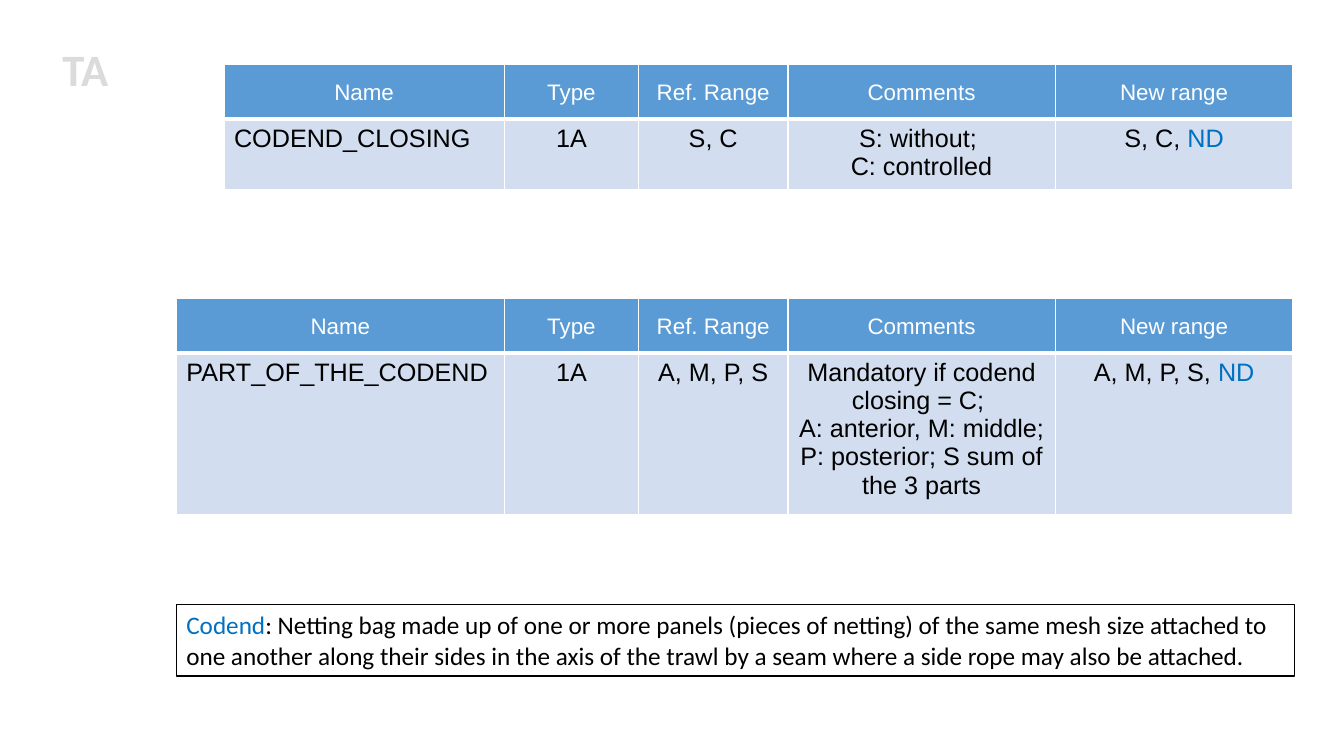
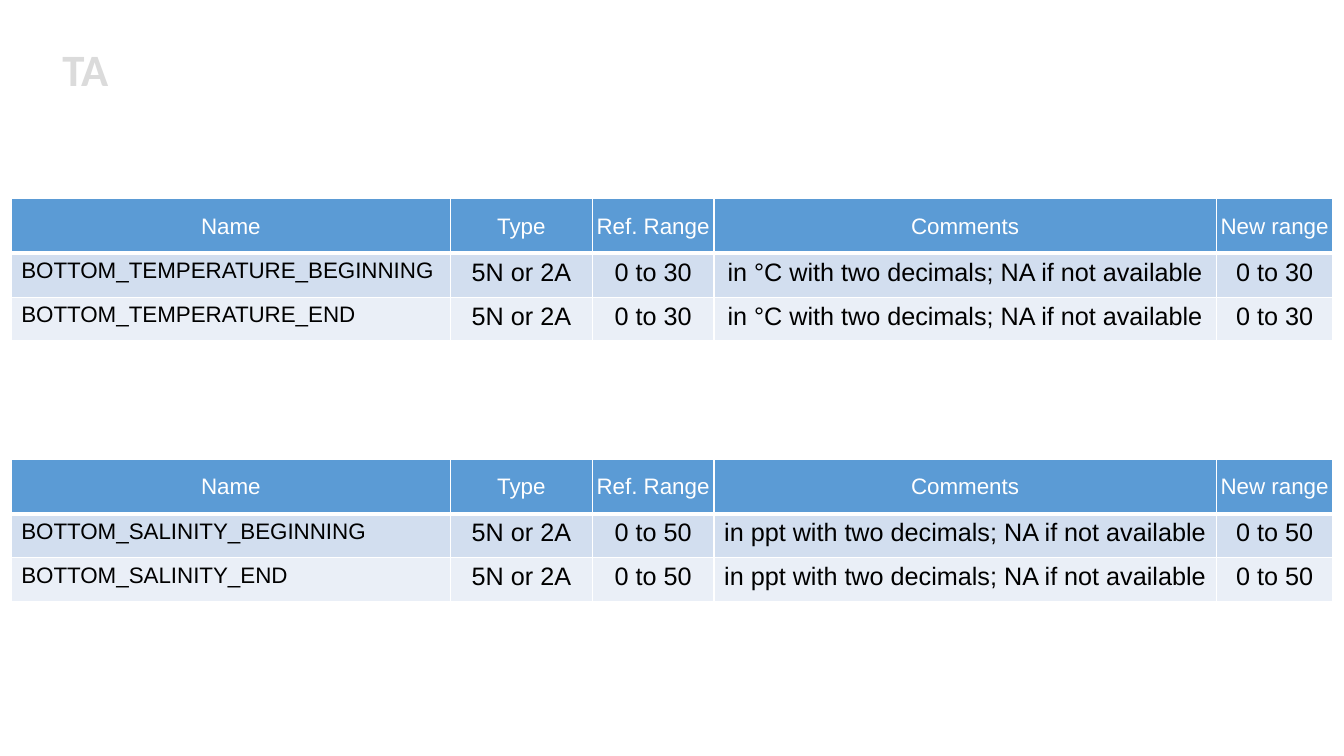
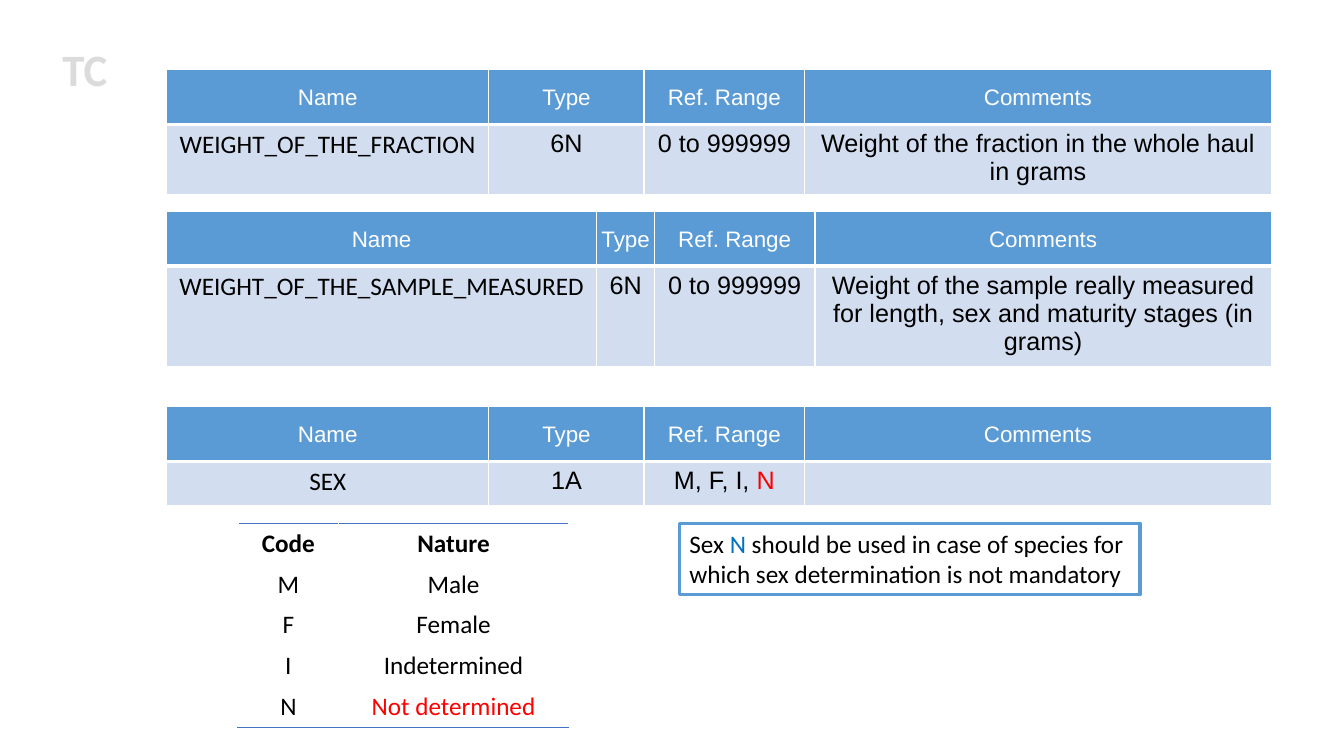
from lxml.etree import SubElement
from pptx import Presentation
from pptx.dml.color import RGBColor
from pptx.enum.shapes import MSO_SHAPE
from pptx.enum.text import MSO_ANCHOR, MSO_AUTO_SIZE, PP_ALIGN
from pptx.oxml.ns import qn
from pptx.util import Pt

COLORS = {"white": "FFFFFF", "black": "000000", "title": "DBDBDB", "header": "5B9BD5",
          "band1": "D2DEEF", "band2": "EAEFF7", "blue": "0070C0", "red": "FF0000", "rule": "4472C4"}
HEADINGS = ["Name", "Type", "Ref. Range", "Comments", "New range"]
ARIAL = {"name": "Arial", "size": Pt(18), "bold": False}
CALIBRI = {"name": "Calibri", "size": Pt(18), "bold": False}
HEADER = {**ARIAL, "size": Pt(16)}
TITLE = {"name": "Calibri", "size": Pt(32), "bold": True}
HEADER_MARGINS = {"margin_left": Pt(0.72), "margin_right": Pt(0.72), "margin_top": Pt(0.72),
                  "margin_bottom": 0, "vertical_anchor": MSO_ANCHOR.MIDDLE}
HEADER_EDGES = {"L": 1, "R": 1, "T": 1, "B": 3}
BODY_EDGES = {"L": 1, "R": 1, "T": 1, "B": 1}
HEADER_HEIGHT = 39


def apply(target, values):
    for name, value in values.items():
        setattr(target, name, value)


class Deck:
    """Holds the shared style and the slide being filled."""

    def __init__(self):
        self.prs = Presentation()
        apply(self.prs, {"slide_width": Pt(960), "slide_height": Pt(540)})

    def color(self, name):
        return RGBColor.from_string(COLORS[name])

    def slide(self, title):
        self.s = self.prs.slides.add_slide(self.prs.slide_layouts[6])
        box = self.s.shapes.add_textbox(Pt(37.5), Pt(26.5), Pt(63.5), Pt(46))
        self.frame(box.text_frame)
        self.put_text(box.text_frame, title, TITLE, "title")

    def frame(self, tf):
        apply(tf, {"word_wrap": True, "auto_size": MSO_AUTO_SIZE.SHAPE_TO_FIT_TEXT,
                   "vertical_anchor": MSO_ANCHOR.TOP})

    def put_text(self, tf, content, font, color="black", align=PP_ALIGN.LEFT):
        runs = [(content, color)] if isinstance(content, str) else content
        p = tf.paragraphs[0]
        p.alignment = align
        for text, run_color in runs:
            for i, line in enumerate(text.split("\n")):
                if i:
                    p = tf.add_paragraph()
                    p.alignment = align
                if line:
                    r = p.add_run()
                    r.text = line
                    apply(r.font, font)
                    r.font.color.rgb = self.color(run_color)

    def edges(self, cell, widths, color):
        tcPr = cell._tc.get_or_add_tcPr()
        for side, width in widths.items():
            ln = SubElement(tcPr, qn(f"a:ln{side}"), w=str(Pt(width)))
            fill = SubElement(ln, qn("a:solidFill"))
            SubElement(fill, qn("a:srgbClr"), val=COLORS[color])

    def grid(self, left, top, widths, heights):
        tbl = self.s.shapes.add_table(len(heights), len(widths), Pt(left), Pt(top),
                                      Pt(sum(widths)), Pt(sum(heights))).table
        apply(tbl, {"first_row": False, "horz_banding": False})
        for column, width in zip(tbl.columns, widths):
            column.width = Pt(width)
        for row, height in zip(tbl.rows, heights):
            row.height = Pt(height)
        return tbl

    def field_table(self, left, top, widths, height, rows, name_font, name_align=PP_ALIGN.LEFT):
        tbl = self.grid(left, top, widths, [HEADER_HEIGHT] + [height] * len(rows))
        for i, values in enumerate([HEADINGS[:len(widths)], *rows]):
            for j, value in enumerate(values):
                cell = tbl.cell(i, j)
                self.edges(cell, BODY_EDGES if i else HEADER_EDGES, "white")
                cell.fill.solid()
                cell.fill.fore_color.rgb = self.color(("band2", "band1")[i % 2] if i else "header")
                if i == 0:
                    apply(cell, HEADER_MARGINS)
                    self.put_text(cell.text_frame, value, HEADER, "white", PP_ALIGN.CENTER)
                elif j == 0:
                    self.put_text(cell.text_frame, value, name_font, align=name_align)
                else:
                    self.put_text(cell.text_frame, value, ARIAL, align=PP_ALIGN.CENTER)

    def code_table(self, left, top, widths, height, rows):
        tbl = self.grid(left, top, widths, [height] * len(rows))
        rules = {0: {"T": 1, "B": 1}, len(rows) - 1: {"B": 1}}
        for i, values in enumerate(rows):
            for j, value in enumerate(values):
                cell = tbl.cell(i, j)
                self.edges(cell, rules.get(i, {}), "rule")
                cell.fill.background()
                self.put_text(cell.text_frame, value, {**CALIBRI, "bold": i == 0},
                              align=PP_ALIGN.CENTER)

    def note(self, left, top, width, height, content, line, weight):
        sp = self.s.shapes.add_shape(MSO_SHAPE.RECTANGLE, Pt(left), Pt(top), Pt(width), Pt(height))
        sp.shadow.inherit = False
        sp.fill.solid()
        sp.fill.fore_color.rgb = self.color("white")
        sp.line.color.rgb = self.color(line)
        sp.line.width = Pt(weight)
        self.frame(sp.text_frame)
        self.put_text(sp.text_frame, content, CALIBRI)


def main():
    deck = Deck()

    deck.slide("TA")
    shared = [95.8, 106.8, 190.8, 170]
    deck.field_table(160, 46.2, [200.3, *shared], 50.4, [
        ["CODEND_CLOSING", "1A", "S, C", "S: without; \nC: controlled",
         [("S, C, ", "black"), ("ND", "blue")]]], ARIAL)
    deck.field_table(126, 213.4, [234.3, *shared], 115.2, [
        ["PART_OF_THE_CODEND", "1A", "A, M, P, S",
         "Mandatory if codend closing = C; \nA: anterior, M: middle; P: posterior; S sum of the 3 parts",
         [("A, M, P, S, ", "black"), ("ND", "blue")]]], ARIAL)
    deck.note(126, 432, 798.5, 51, [
        ("Codend", "blue"),
        (": Netting bag made up of one or more panels (pieces of netting) of the same mesh size "
         "attached to one another along their sides in the axis of the trawl by a seam where a "
         "side rope may also be attached.", "black")], "black", 1)

    deck.slide("TA")
    for top, quantity, unit, limit in [(142, "TEMPERATURE", "°C", 30), (328.2, "SALINITY", "ppt", 50)]:
        deck.field_table(8, top, [313.8, 101.3, 86.9, 358.8, 83.5], 31.3, [
            [f"BOTTOM_{quantity}_{moment}", "5N or 2A", f"0 to {limit}",
             f"in {unit} with two decimals; NA if not available", f"0 to {limit}"]
            for moment in ("BEGINNING", "END")], HEADER)

    deck.slide("TC")
    wide = [230.2, 110.9, 114.7, 333.3]
    narrow = [307.3, 41.2, 114.7, 325.9]
    for top, widths, height, row in [
        (49.9, wide, 50.4, ["WEIGHT_OF_THE_FRACTION", "6N", "0 to 999999",
                            "Weight of the fraction in the whole haul in grams"]),
        (151.2, narrow, 72, ["WEIGHT_OF_THE_SAMPLE_MEASURED", "6N", "0 to 999999",
                             "Weight of the sample really measured for length, sex and "
                             "maturity stages (in grams)"]),
        (290.6, wide, 31.5, ["SEX", "1A", [("M, F, I, ", "black"), ("N", "red")], ""]),
    ]:
        deck.field_table(119, top, widths, height, [row], CALIBRI, PP_ALIGN.CENTER)
    deck.code_table(170, 373.7, [72, 164], 29.2, [
        ["Code", "Nature"], ["M", "Male"], ["F", "Female"], ["I", "Indetermined"],
        ["N", [("Not determined", "red")]]])
    deck.note(485.4, 373.7, 329, 51, [
        ("Sex ", "black"), ("N ", "blue"),
        ("should be used in case of species for which sex determination is not mandatory", "black")],
        "header", 2.25)

    deck.prs.save("out.pptx")


if __name__ == "__main__":
    main()
